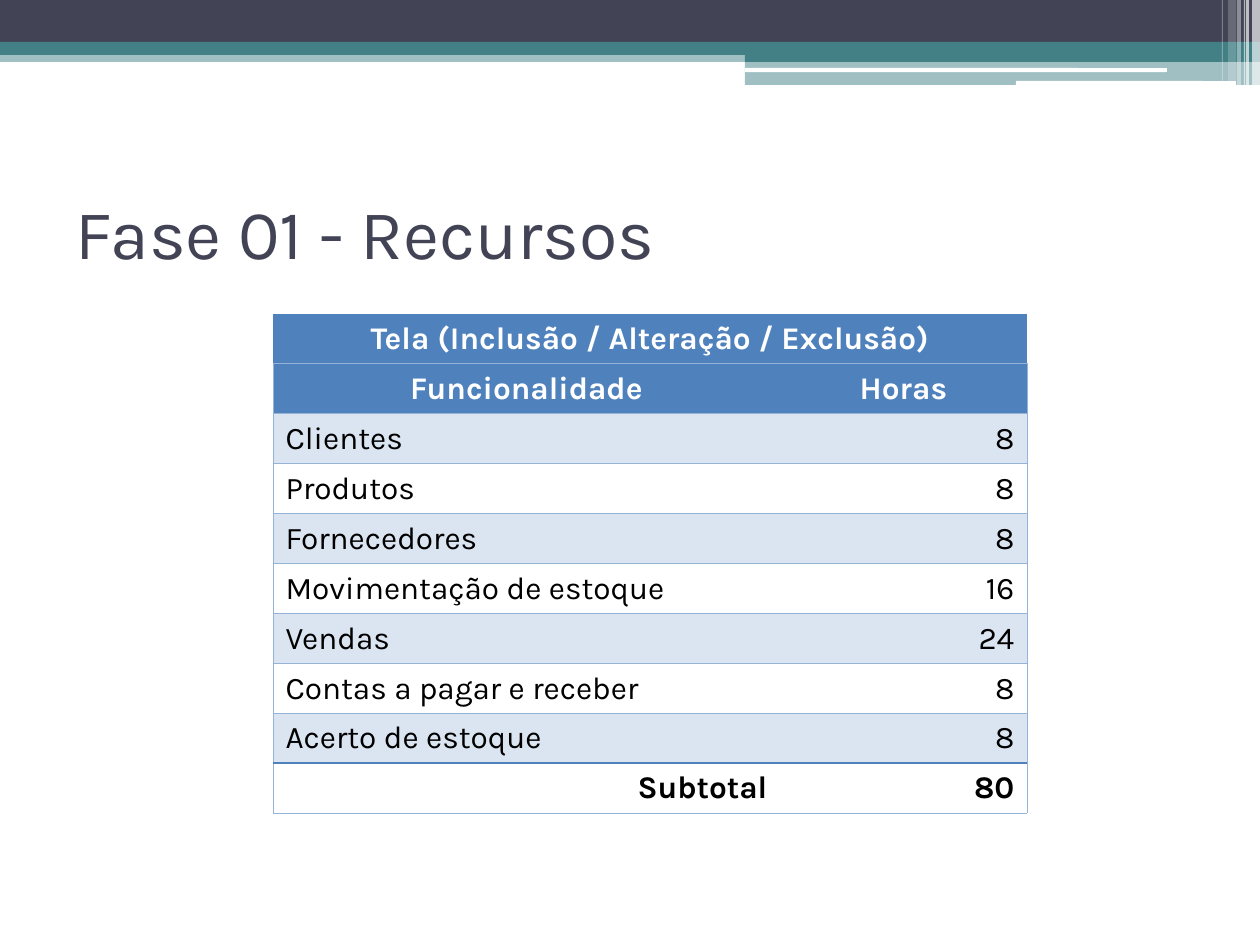
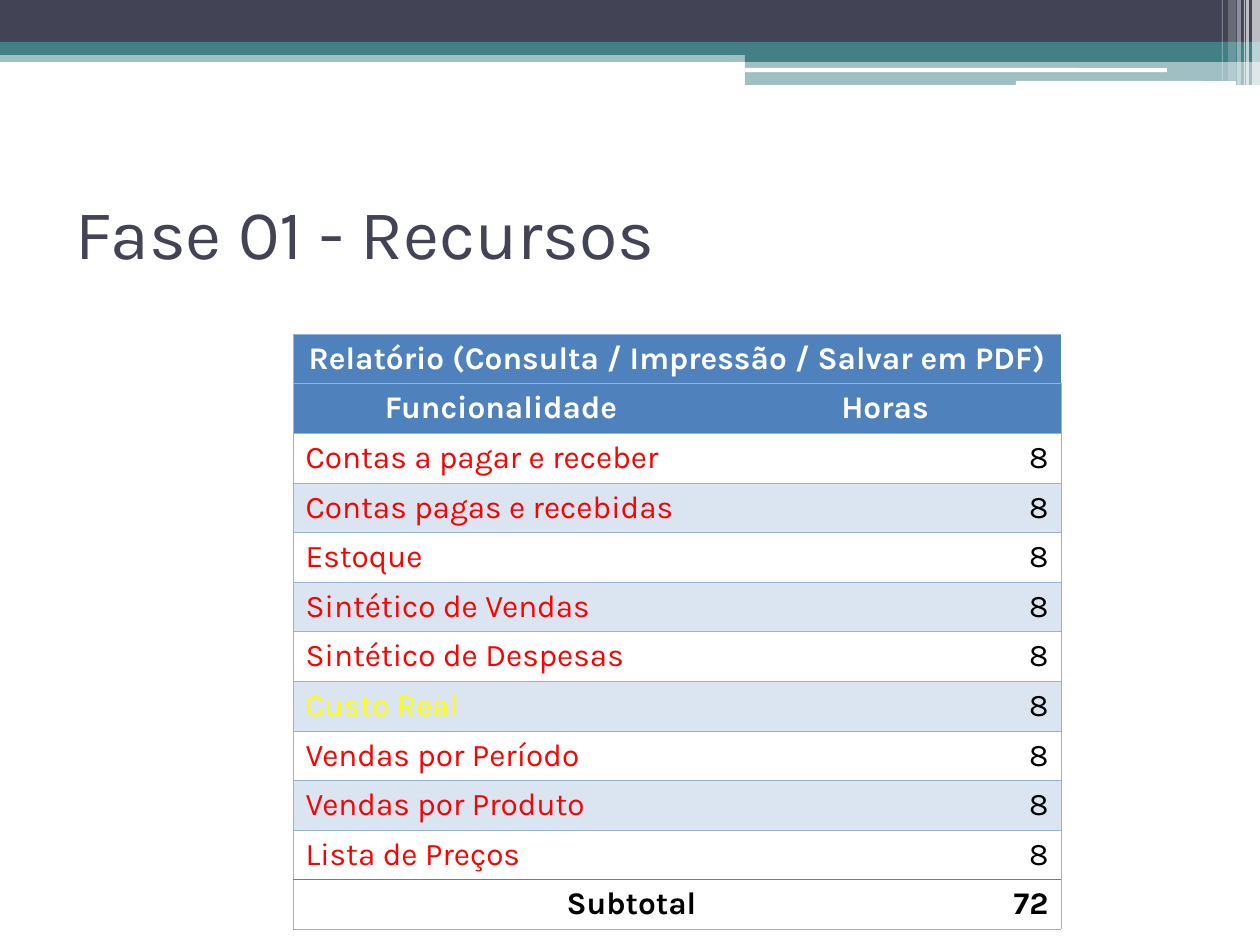
"""Build two slides that list the hours of each phase 01 resource."""
from lxml import etree
from pptx import Presentation
from pptx.dml.color import RGBColor
from pptx.enum.shapes import MSO_SHAPE
from pptx.enum.text import MSO_ANCHOR, MSO_AUTO_SIZE, PP_ALIGN
from pptx.oxml.ns import qn
from pptx.util import Emu, Pt

RECT = MSO_SHAPE.RECTANGLE
ROUND = MSO_SHAPE.ROUNDED_RECTANGLE
MIDDLE, BOTTOM = MSO_ANCHOR.MIDDLE, MSO_ANCHOR.BOTTOM
LEFT, CENTER, RIGHT = PP_ALIGN.LEFT, PP_ALIGN.CENTER, PP_ALIGN.RIGHT
FIT_NONE = MSO_AUTO_SIZE.NONE

FONT = "Karla"
COLORS = {
    "navy": "424456", "teal": "438086", "white": "FFFFFF", "black": "000000",
    "blue": "4F81BD", "pale": "DBE5F1", "edge": "95B3D7",
    "red": "FF0000", "yellow": "FFFF00",
}
BANDS = [
    (RECT, 0, 50, 1260, 12, "teal", 50),
    (RECT, 0, 0, 1260, 43, "navy", 100),
    (RECT, 0, 42, 1260, 13, "teal", 100),
    (RECT, 745, 49, 515, 13, "teal", 100),
    (RECT, 745, 62, 515, 23, "teal", 50),
    (ROUND, 745, 68, 422, 4, "white", 100),
    (ROUND, 1016, 81, 220, 5, "white", 100),
    (RECT, 1252, 0, 8, 86, "white", 65),
    (RECT, 1246, 0, 3, 86, "white", 65),
    (RECT, 1244, 0, 1, 86, "white", 60),
    (RECT, 1237, 0, 4, 86, "white", 40),
    (RECT, 1228, 0, 8, 81, "white", 20),
    (RECT, 1222, 0, 1, 81, "white", 30),
]
THIN = ("edge", 0.23)
THICK = ("blue", 0.96)

SCREENS = [
    ("Clientes", 8, "black"),
    ("Produtos", 8, "black"),
    ("Fornecedores", 8, "black"),
    ("Movimentação de estoque", 16, "black"),
    ("Vendas", 24, "black"),
    ("Contas a pagar e receber", 8, "black"),
    ("Acerto de estoque", 8, "black"),
]
REPORTS = [
    ("Contas a pagar e receber", 8, "red"),
    ("Contas pagas e recebidas", 8, "red"),
    ("Estoque", 8, "red"),
    ("Sintético de Vendas", 8, "red"),
    ("Sintético de Despesas", 8, "red"),
    ("Custo Real", 8, "yellow"),
    ("Vendas por Período", 8, "red"),
    ("Vendas por Produto", 8, "red"),
    ("Lista de Preços", 8, "red"),
]


def px(n):
    return Emu(round(n * 914400 / 126))


def rgb(name):
    return RGBColor.from_string(COLORS[name])


def place(shape, x, y, w, h):
    shape.left, shape.top, shape.width, shape.height = map(px, (x, y, w, h))


def write(frame, text, size, color, align, bold=False):
    para = frame.paragraphs[0]
    para.alignment = align
    run = para.add_run()
    run.text = text
    font = run.font
    font.name, font.size, font.bold = FONT, Pt(size), bold
    font.color.rgb = rgb(color)


def add_band(slide, kind, x, y, w, h, color, alpha):
    band = slide.shapes.add_shape(kind, px(x), px(y), px(w), px(h))
    band.shadow.inherit = False
    band.fill.solid()
    band.fill.fore_color.rgb = rgb(color)
    band.line.fill.background()
    if alpha < 100:
        tint = next(band.element.spPr.iter(qn("a:srgbClr")))
        etree.SubElement(tint, qn("a:alpha"), val=str(alpha * 1000))
    return band


def dress(layout, slide):
    """Move the shared bands behind the layout's title."""
    title, *rest = layout.placeholders
    for holder in rest:
        layout.shapes.element.remove(holder.element)
    for band in BANDS:
        title.element.addprevious(add_band(slide, *band).element)


def set_title(slide, text):
    title = slide.shapes.title
    place(title, 63, 158, 1134, 147)
    frame = title.text_frame
    frame.word_wrap = True
    frame.auto_size = FIT_NONE
    frame.vertical_anchor = MIDDLE
    write(frame, text, 40, "navy", LEFT)


def set_edges(cell, **edges):
    """Draw the named sides (L, R, T, B) and hide the others."""
    props = cell._tc.get_or_add_tcPr()
    for spot, side in enumerate("LRTB"):
        line = etree.Element(qn(f"a:ln{side}"))
        if edges.get(side):
            color, width = edges[side]
            line.set("w", str(Pt(width)))
            fill = etree.SubElement(line, qn("a:solidFill"))
            etree.SubElement(fill, qn("a:srgbClr"), val=COLORS[color])
        else:
            etree.SubElement(line, qn("a:noFill"))
        props.insert(spot, line)


def set_cell(cell, text, color, align, bold, fill, **edges):
    cell.vertical_anchor = BOTTOM
    write(cell.text_frame, text, 18, color, align, bold)
    if fill:
        cell.fill.solid()
        cell.fill.fore_color.rgb = rgb(fill)
    else:
        cell.fill.background()
    set_edges(cell, **edges)


def set_row(table, row, pair, colors, aligns, bold, fill, top=THIN, base=THIN):
    sides = ("L", "R")
    for col, text in enumerate(pair):
        set_cell(table.cell(row, col), text, colors[col], aligns[col], bold,
                 fill, T=top, B=base, **{sides[col]: THIN})


def add_hours(slide, x, y, cols, head_h, row_h, head, edges, items, shade):
    """Add a table of hours; items whose index has parity shade are tinted."""
    count = len(items) + 3
    grid = slide.shapes.add_table(count, 2, px(x), px(y), px(sum(cols)),
                                  px(head_h + row_h * (count - 1)))
    table = grid.table
    table.first_row = table.horz_banding = False
    for col, width in zip(table.columns, cols):
        col.width = px(width)
    for row in table.rows:
        row.height = px(row_h)
    table.rows[0].height = px(head_h)

    first = table.cell(0, 0)
    first.merge(table.cell(0, 1))
    set_cell(first, head, "white", CENTER, True, "blue", B=THIN, **edges)
    set_row(table, 1, ("Funcionalidade", "Horas"), ("white", "white"),
            (CENTER, CENTER), True, "blue")
    last = len(items) - 1
    for i, (name, hours, color) in enumerate(items):
        set_row(table, i + 2, (name, str(hours)), (color, "black"),
                (LEFT, RIGHT), False, "pale" if i % 2 == shade else None,
                base=THICK if i == last else THIN)
    total = sum(hours for _, hours, _ in items)
    set_row(table, count - 1, ("Subtotal", str(total)), ("black", "black"),
            (RIGHT, RIGHT), True, None, top=THICK)


def main():
    deck = Presentation()
    deck.slide_width, deck.slide_height = px(1260), px(945)
    layout = deck.slide_layouts[5]
    screens, reports = (deck.slides.add_slide(layout) for _ in range(2))
    dress(layout, screens)
    for slide in (screens, reports):
        set_title(slide, "Fase 01 - Recursos")
    add_hours(screens, 273, 314, (507, 247), 42, 50,
              "Tela (Inclusão / Alteração / Exclusão)",
              {"L": ("blue", 0.23)}, SCREENS, 0)
    add_hours(reports, 293, 334, (416, 352), 49, 38,
              "Relatório (Consulta / Impressão / Salvar em PDF)",
              {"L": THIN, "T": THIN}, REPORTS, 1)
    deck.save("out.pptx")


if __name__ == "__main__":
    main()
